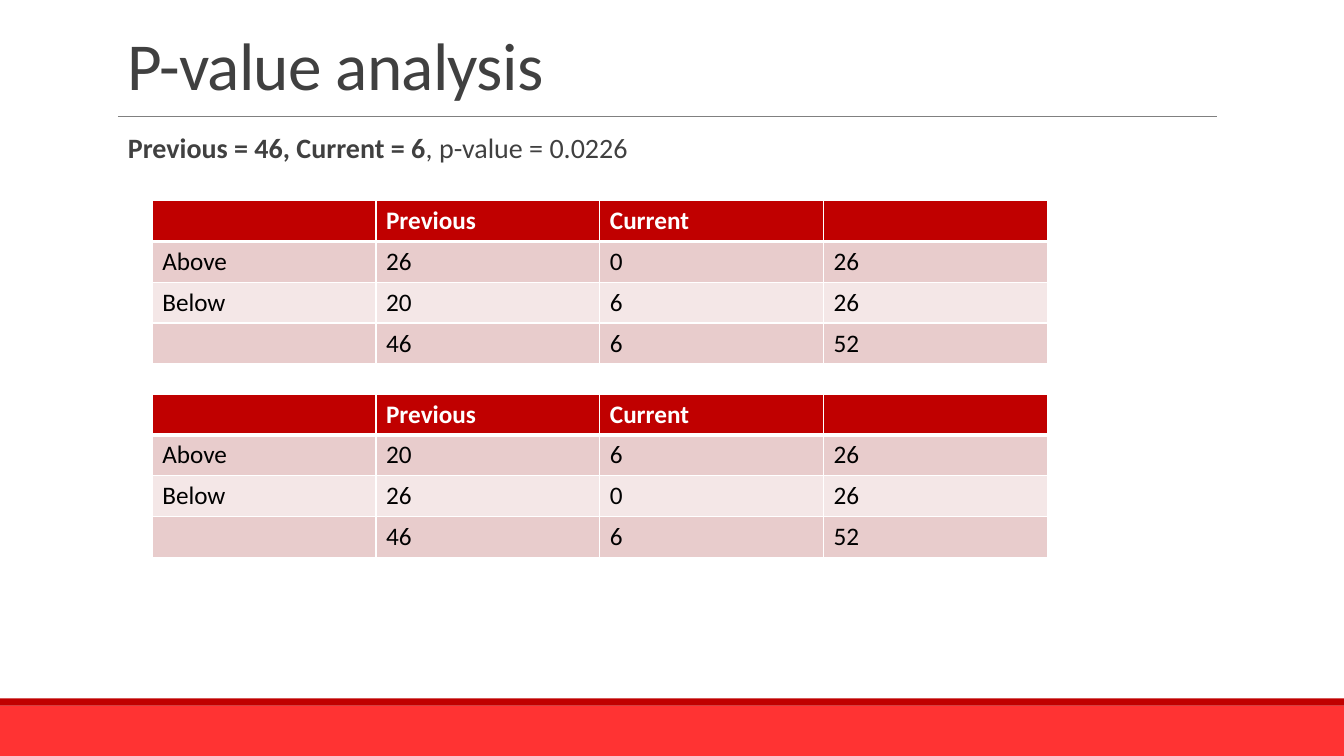
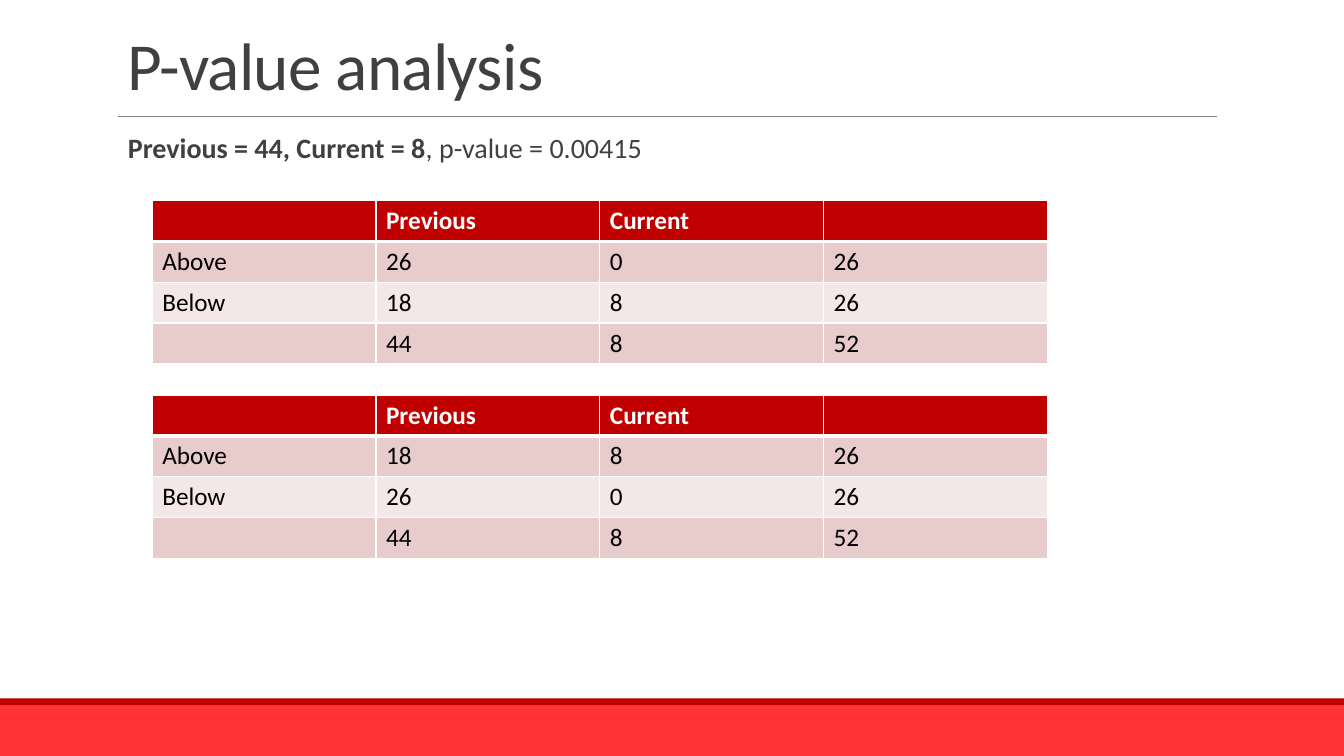
from lxml.etree import SubElement
from pptx import Presentation
from pptx.dml.color import RGBColor
from pptx.enum.shapes import MSO_CONNECTOR, MSO_SHAPE
from pptx.enum.text import MSO_ANCHOR
from pptx.oxml.ns import qn
from pptx.util import Inches, Pt

WIDTH, HEIGHT = 13.33, 7.5
LEFT, CONTENT_WIDTH = 1.17, 10.9


def color(hex_string):
    return RGBColor.from_string(hex_string)


class Deck:
    """Holds the style and the current slide, and draws each kind of element."""

    FONT = "Calibri"
    TEXT, RULE, WHITE, BLACK = "404040", "808080", "FFFFFF", "000000"
    RED, DARK_RED = "FF3333", "C00000"
    ROW_FILLS = ("F4E7E7", "E8CCCC")

    def __init__(self):
        self.presentation = Presentation()
        self.presentation.slide_width = Inches(WIDTH)
        self.presentation.slide_height = Inches(HEIGHT)
        self.slide = None

    def add_slide(self, title):
        self.slide = self.presentation.slides.add_slide(self.presentation.slide_layouts[6])
        self.band(7, 0.5, self.RED)
        self.band(6.93, 0.07, self.DARK_RED)
        self.rule(1.15)
        self.title(title)

    def band(self, top, height, fill):
        shape = self.slide.shapes.add_shape(
            MSO_SHAPE.RECTANGLE, 0, Inches(top), Inches(WIDTH), Inches(height))
        shape.shadow.inherit = False
        shape.fill.solid()
        shape.fill.fore_color.rgb = color(fill)
        shape.line.fill.background()

    def rule(self, top):
        connector = self.slide.shapes.add_connector(
            MSO_CONNECTOR.STRAIGHT, Inches(LEFT), Inches(top),
            Inches(LEFT + CONTENT_WIDTH), Inches(top))
        connector.line.color.rgb = color(self.RULE)
        connector.line.width = Pt(0.5)
        SubElement(connector._element.spPr, qn("a:effectLst"))

    def text_box(self, top, height, anchor, line_spacing):
        shape = self.slide.shapes.add_textbox(
            Inches(LEFT), Inches(top), Inches(CONTENT_WIDTH), Inches(height))
        frame = shape.text_frame
        frame.word_wrap = True
        frame.vertical_anchor = anchor
        paragraph = frame.paragraphs[0]
        paragraph.line_spacing = line_spacing
        return paragraph

    def run(self, paragraph, text, size, font_color, bold=False):
        run = paragraph.add_run()
        run.text = text
        run.font.name = self.FONT
        run.font.size = Pt(size)
        run.font.bold = bold
        run.font.color.rgb = color(font_color)
        return run

    def title(self, text):
        paragraph = self.text_box(0.06, 1.02, MSO_ANCHOR.BOTTOM, 0.85)
        run = self.run(paragraph, text, 48, self.TEXT)
        run._r.get_or_add_rPr().set("spc", "-50")

    def summary(self, groups, p_value):
        paragraph = self.text_box(1.28, 5.14, MSO_ANCHOR.TOP, 0.9)
        paragraph.space_before = Pt(12)
        paragraph.space_after = Pt(2)
        self.run(paragraph, groups, 20, self.TEXT, bold=True)
        self.run(paragraph, f", p-value = {p_value}", 20, self.TEXT)

    def borders(self, cell, bottom_width):
        properties = cell._tc.get_or_add_tcPr()
        for side, width in (("L", 1), ("R", 1), ("T", 1), ("B", bottom_width)):
            line = SubElement(properties, qn(f"a:ln{side}"), w=str(Pt(width)))
            fill = SubElement(line, qn("a:solidFill"))
            SubElement(fill, qn("a:srgbClr"), val=self.WHITE)

    def table(self, top, rows):
        row_height, column_width = 0.405, 2.22
        column_count = len(rows[0])
        table = self.slide.shapes.add_table(
            len(rows), column_count, Inches(1.51), Inches(top),
            Inches(column_width * column_count), Inches(row_height * len(rows))).table
        for row_index, row in enumerate(rows):
            table.rows[row_index].height = Inches(row_height)
            header = row_index == 0
            fill = self.DARK_RED if header else self.ROW_FILLS[row_index % 2]
            font_color = self.WHITE if header else self.BLACK
            for column_index, value in enumerate(row):
                cell = table.cell(row_index, column_index)
                self.borders(cell, 3 if header else 1)
                cell.fill.solid()
                cell.fill.fore_color.rgb = color(fill)
                if value != "":
                    self.run(cell.text_frame.paragraphs[0], str(value), 18, font_color, header)

    def save(self):
        self.presentation.save("out.pptx")


def contingency_rows(above, below):
    totals = [sum(pair) for pair in zip(above, below)]
    return [
        ["", "Previous", "Current", ""],
        ["Above", *above, sum(above)],
        ["Below", *below, sum(below)],
        ["", *totals, sum(totals)],
    ]


def main():
    deck = Deck()
    analyses = [
        ((26, 0), (20, 6), "0.0226", 3.91),
        ((26, 0), (18, 8), "0.00415", 3.92),
    ]
    for first, second, p_value, lower_top in analyses:
        previous, current = (sum(pair) for pair in zip(first, second))
        deck.add_slide("P-value analysis")
        deck.summary(f"Previous = {previous}, Current = {current}", p_value)
        deck.table(1.99, contingency_rows(first, second))
        deck.table(lower_top, contingency_rows(second, first))
    deck.save()


if __name__ == "__main__":
    main()
